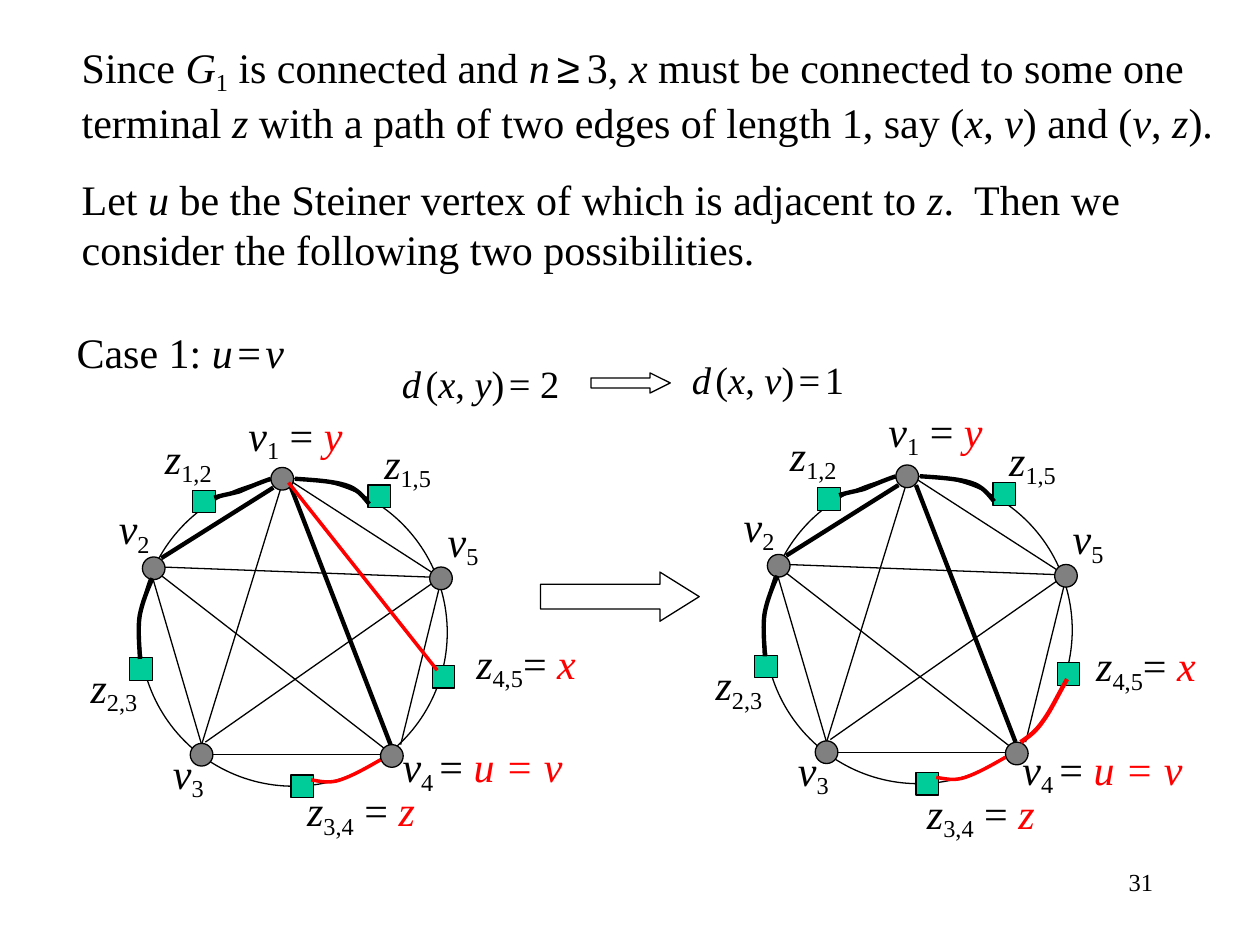
from lxml import etree
from pptx import Presentation
from pptx.dml.color import RGBColor
from pptx.enum.shapes import MSO_CONNECTOR as Connector, MSO_SHAPE as Shape
from pptx.enum.text import PP_ALIGN as Align
from pptx.oxml.ns import qn
from pptx.util import Inches, Pt

BLACK, RED, GRAY, GREEN = "000000", "FF0000", "808080", "00CC99"
SERIF = "Times New Roman"
THIN, MEDIUM, THICK = 0.75, 2, 2.5
MARK = 0.18

# Positions inside a graph are in inches from the graph's top left corner.
VERTICES = [(1.12, 0), (2.38, 0.79), (1.99, 2.2), (0.48, 2.19), (0.1, 0.71)]
TERMINALS = [(1.89, 0.14), (2.4, 1.57), (0, 1.51), (1.28, 2.44), (0.5, 0.18)]
EDGES = {
    "v1v2": (1.14, 0.16, 0.25, 0.72),
    "v2v3": (0.18, 0.87, 0.57, 2.2),
    "v3v4": (0.65, 2.28, 1.99, 2.28),
    "v4v5": (2.15, 2.2, 2.46, 0.94),
    "v1v5": (1.28, 0.11, 2.41, 0.84),
    "v1v3": (1.2, 0.16, 0.57, 2.2),
    "v1v4": (1.28, 0.16, 2.07, 2.2),
    "v2v5": (0.25, 0.79, 2.38, 0.87),
    "v2v4": (0.24, 0.85, 2.02, 2.23),
    "v3v5": (2.4, 0.92, 0.6, 2.18),
}
TREE_EDGES = ("v1v2", "v1v4")
TREE_CURVES = [
    [(1.12, 0.09), (1.03, 0.12), (0.94, 0.16), (0.87, 0.19),
     (0.8, 0.21), (0.73, 0.22), (0.67, 0.24)],
    [(1.31, 0.09), (1.46, 0.1), (1.61, 0.11), (1.71, 0.14),
     (1.81, 0.17), (1.85, 0.23), (1.9, 0.29)],
    [(0.18, 0.88), (0.14, 0.97), (0.1, 1.07), (0.08, 1.17),
     (0.06, 1.28), (0.08, 1.45), (0.08, 1.52)],
]
V4_TO_Z = [(1.99, 2.32), (1.87, 2.39), (1.76, 2.45), (1.67, 2.48),
           (1.58, 2.51), (1.51, 2.49), (1.44, 2.48)]
X_TO_V4 = [(2.48, 1.7), (2.41, 1.82), (2.35, 1.95), (2.29, 2.03),
           (2.23, 2.12), (2.17, 2.16), (2.11, 2.2)]
Y_TO_X = (1.26, 0.12, 2.44, 1.61)
PLAIN_LABELS = [
    ("*v*_2_", -0.36, 0.23), ("*v*_5_", 2.25, 0.33), ("*v*_3_", 0.07, 2.17),
    ("*z*_1,5_", 1.81, -0.29), ("*z*_1,2_", 0.07, -0.33),
    ("*z*_2,3_", -0.52, 1.49),
]
ROLE_LABELS = [
    ("*v*_4 _= ^*u = v*^", 1.95, 2.12, 1.7),
    ("*z*_4,5_= ^*x*^", 2.55, 1.3, 1.19),
    ("*z*_3,4_ = ^*z*^", 1.12, 2.47, 1.43),
]


def rgb(color):
    return RGBColor.from_string(color)


def styled_runs(markup):
    """Yield (text, active marks): * italic, _ subscript, ^ red, ~ narrow space, # Arial."""
    active, text = set(), ""
    for char in markup:
        if char in "*_^~#":
            if text:
                yield text, set(active)
            text = ""
            if char == "~":
                yield " ", {"~"}
            else:
                active ^= {char}
        else:
            text += char
    if text:
        yield text, set(active)


def add_text(slide, left, top, width, height, lines, align=Align.CENTER, size=24, gap=10):
    box = slide.shapes.add_textbox(Inches(left), Inches(top), Inches(width), Inches(height))
    frame = box.text_frame
    frame.word_wrap = True
    for index, markup in enumerate(lines):
        paragraph = frame.add_paragraph() if index else frame.paragraphs[0]
        paragraph.alignment = align
        if index:
            paragraph.space_before = Pt(15)
        for text, marks in styled_runs(markup):
            run = paragraph.add_run()
            run.text = text
            run.font.name = "Arial" if "#" in marks else SERIF
            run.font.size = Pt(gap if "~" in marks else size)
            run.font.italic = "*" in marks
            run.font.color.rgb = rgb(RED if "^" in marks else BLACK)
            if "_" in marks:
                run.font._element.set("baseline", "-20000")


def add_outline(slide, kind, left, top, width, height, fill=None):
    shape = slide.shapes.add_shape(kind, Inches(left), Inches(top), Inches(width), Inches(height))
    shape.shadow.inherit = False
    if fill:
        shape.fill.solid()
        shape.fill.fore_color.rgb = rgb(fill)
    else:
        shape.fill.background()
    shape.line.color.rgb = rgb(BLACK)
    shape.line.width = Pt(THIN)
    return shape


def add_arrow(slide, left, top, width, height, head):
    arrow = add_outline(slide, Shape.RIGHT_ARROW, left, top, width, height)
    arrow.adjustments[0], arrow.adjustments[1] = 0.5, head


def add_edge(slide, left, top, edge, weight=THIN, color=BLACK):
    x1, y1, x2, y2 = edge
    line = slide.shapes.add_connector(
        Connector.STRAIGHT, Inches(left + x1), Inches(top + y1), Inches(left + x2), Inches(top + y2))
    line.line.color.rgb = rgb(color)
    line.line.width = Pt(weight)
    etree.SubElement(line._element.spPr, qn("a:effectLst"))


def add_curve(slide, left, top, points, weight=THICK, color=BLACK):
    """Draw a Bezier curve: a start, then two control points and an end per piece."""
    start, *rest = [(Inches(left + x), Inches(top + y)) for x, y in points]
    builder = slide.shapes.build_freeform(*start)
    builder.add_line_segments(rest, close=False)
    curve = builder.convert_to_shape()
    steps = list(curve._element.iter(qn("a:lnTo")))
    for first in range(0, len(steps), 3):
        bezier = etree.Element(qn("a:cubicBezTo"))
        steps[first].addprevious(bezier)
        for step in steps[first:first + 3]:
            bezier.append(step[0])
            step.getparent().remove(step)
    curve.shadow.inherit = False
    curve.fill.background()
    curve.line.color.rgb = rgb(color)
    curve.line.width = Pt(weight)


def add_graph(slide, left, top, y_shift=(0, 0), role_shift=(0, 0), thick_edges=()):
    for name, edge in EDGES.items():
        add_edge(slide, left, top, edge, THICK if name in thick_edges else THIN)
    add_outline(slide, Shape.OVAL, left + 0.08, top + 0.09, 2.44, 2.44)
    for x, y in TERMINALS:
        add_outline(slide, Shape.RECTANGLE, left + x, top + y, MARK, MARK, GREEN)
    for x, y in VERTICES:
        add_outline(slide, Shape.OVAL, left + x, top + y, MARK, MARK, GRAY)
    for label, x, y in PLAIN_LABELS:
        add_text(slide, left + x, top + y, 0.79, 0.54, [label])
    add_text(slide, left + 0.74 + y_shift[0], top - 0.51 + y_shift[1], 1.15, 0.54,
             ["*v*_1_ = ^*y*^"])
    for label, x, y, width in ROLE_LABELS:
        add_text(slide, left + x + role_shift[0], top + y + role_shift[1], width, 0.54, [label])
    add_curve(slide, left, top, V4_TO_Z, MEDIUM, RED)
    for points in TREE_CURVES:
        add_curve(slide, left, top, points)


def add_graph_before(slide, left, top):
    add_graph(slide, left, top, thick_edges=TREE_EDGES)
    add_edge(slide, left, top, Y_TO_X, MEDIUM, RED)


def add_graph_after(slide, left, top):
    add_graph(slide, left, top, y_shift=(0.12, -0.01), role_shift=(-0.04, 0.04))
    add_curve(slide, left, top, X_TO_V4, THICK, RED)
    for name in TREE_EDGES:
        add_edge(slide, left, top, EDGES[name], THICK)


def add_argument(slide, left, top):
    add_text(slide, left, top, 9.45, 1.95, [
        "Since *G*_1_ is connected and *n*~#≥#~3, *x* must be connected to some one terminal *z* "
        "with a path of two edges of length 1, say (*x*, *v*) and (*v*, *z*).",
        "Let *u* be the Steiner vertex of which is adjacent to *z*.  Then we consider "
        "the following two possibilities.",
    ], Align.LEFT, gap=16)


def add_distances(slide, left, top):
    add_text(slide, left, top, 1.57, 0.5, ["*d*~(*x*, *y*)~= 2"], size=22)
    add_arrow(slide, left + 1.66, top + 0.15, 0.63, 0.16, 1.005)
    add_text(slide, left + 2.28, top - 0.03, 1.57, 0.47, ["*d*~(*x*, *v*)~=~1"], size=22)


def main():
    deck = Presentation()
    deck.slide_width, deck.slide_height = Inches(10), Inches(7.5)
    slide = deck.slides.add_slide(deck.slide_layouts[6])
    add_graph_before(slide, 1.03, 3.71)
    add_arrow(slide, 4.29, 4.54, 1.26, 0.39, 0.8)
    add_graph_after(slide, 5.99, 3.69)
    add_text(slide, 0.51, 2.54, 2.05, 0.5, ["Case 1: *u*~=~*v*"], Align.LEFT)
    add_argument(slide, 0.55, 0.28)
    add_distances(slide, 3.03, 2.81)
    add_text(slide, 7.17, 6.83, 2.08, 0.5, ["31"], Align.RIGHT, size=14)
    deck.save("out.pptx")


if __name__ == "__main__":
    main()
